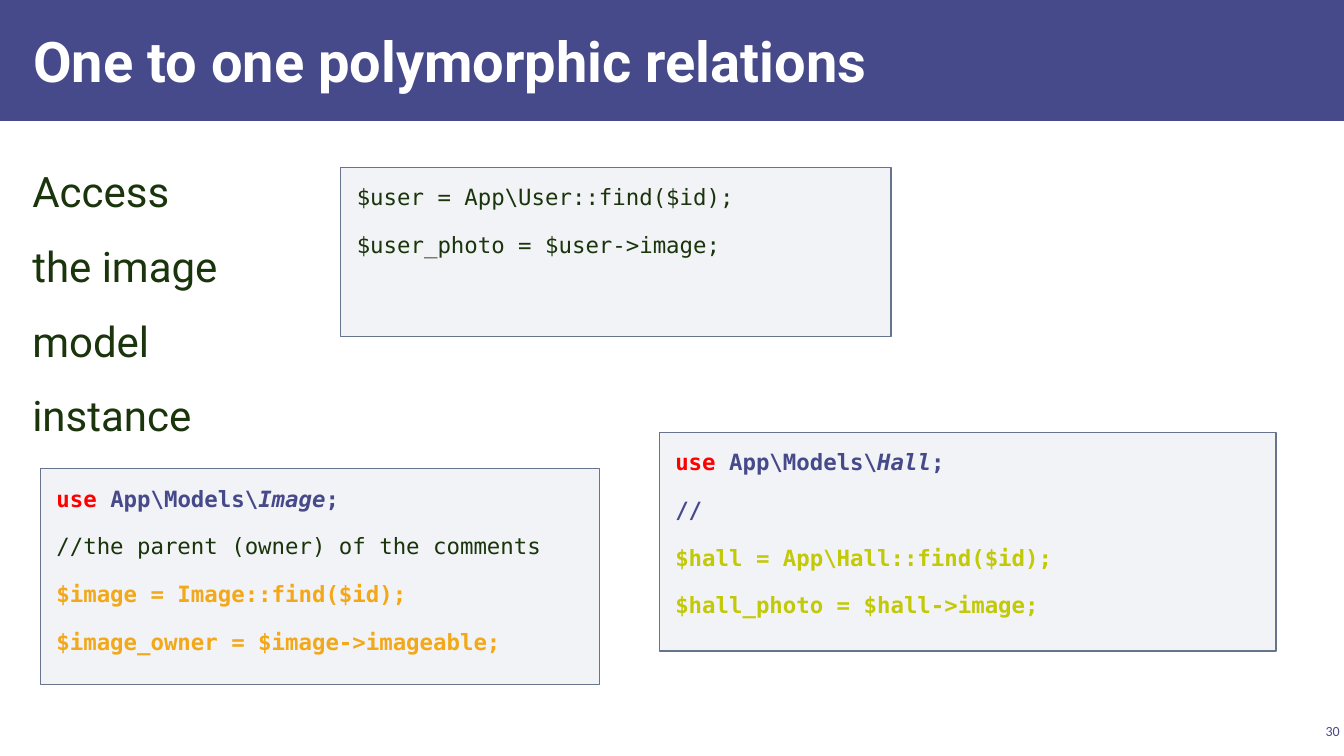
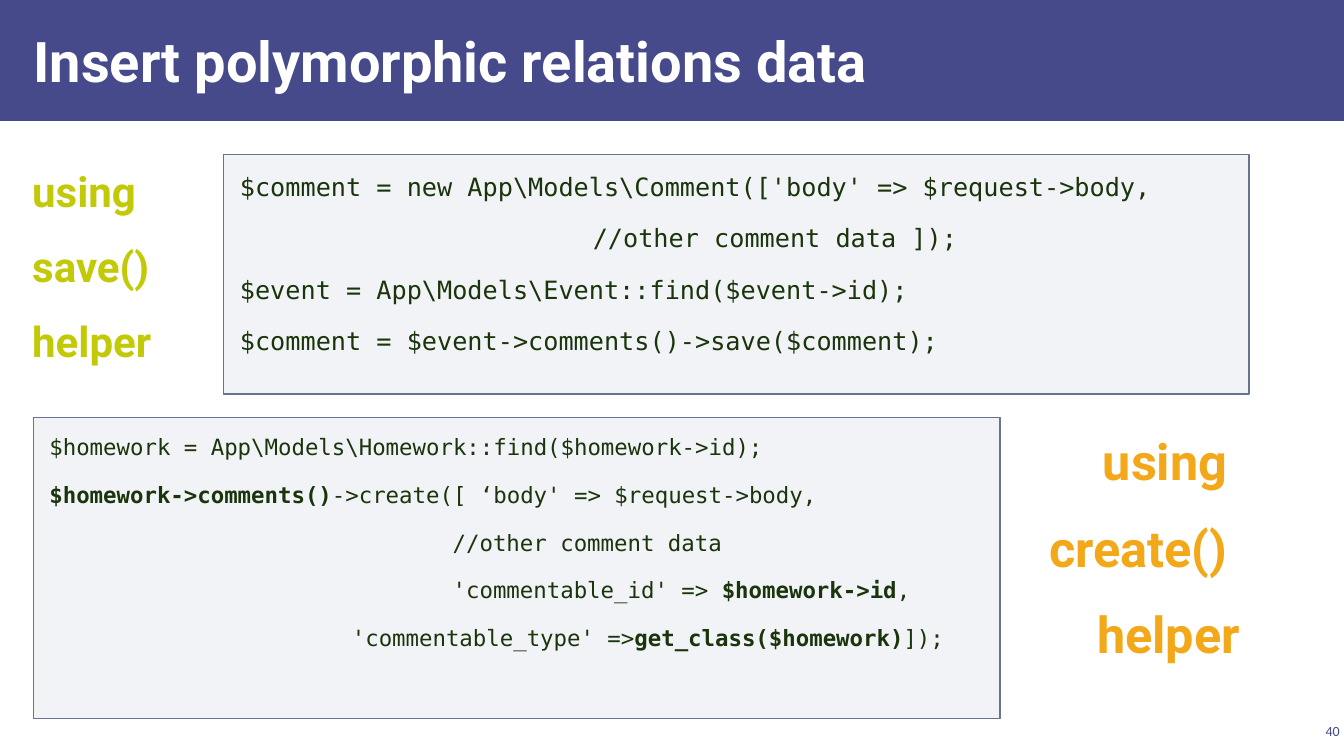
from dataclasses import dataclass

from pptx import Presentation
from pptx import util as u
from pptx.dml.color import RGBColor
from pptx.enum import shapes, text
from pptx.oxml.ns import qn
from lxml import etree

WIDTH, HEIGHT = u.Inches(13.33), u.Inches(7.5)
INDIGO, WHITE, INK = "474A8A", "FFFFFF", "1A340C"
RED, LIME, ORANGE = "FF0000", "C2C906", "F2A818"
PANEL_FILL, PANEL_LINE, PANEL_OPACITY = "ACB4C3", "67748E", 15
HEADING_FONT, CODE_FONT, NUMBER_FONT = "Roboto", "DejaVu Sans Mono", "Calibri"
LEFT, RIGHT = text.PP_ALIGN.LEFT, text.PP_ALIGN.RIGHT
TOP, MIDDLE = text.MSO_ANCHOR.TOP, text.MSO_ANCHOR.MIDDLE


@dataclass(frozen=True)
class Area:
    """A rectangle in percent of the slide's width and height."""
    left: float
    top: float
    width: float
    height: float

    def lengths(self) -> tuple[int, int, int, int]:
        return (int(WIDTH * self.left / 100), int(HEIGHT * self.top / 100),
                int(WIDTH * self.width / 100), int(HEIGHT * self.height / 100))


@dataclass(frozen=True)
class Span:
    words: str
    color: str = INK
    bold: bool = False
    italic: bool = False


@dataclass(frozen=True)
class Line:
    spans: tuple[Span, ...]
    indent: float = 0


@dataclass(frozen=True)
class Style:
    font: str
    size: int
    inset: tuple[float, float]
    align: text.PP_ALIGN = LEFT
    anchor: text.MSO_ANCHOR = TOP
    spaced: bool = True


@dataclass(frozen=True)
class Block:
    area: Area
    style: Style
    lines: list[Line]
    panel: bool = False


@dataclass(frozen=True)
class Page:
    title: str
    number: str
    blocks: list[Block]


BAND = Area(0, 0, 100, 16)
TITLE = Area(1.58, 1.47, 78, 12.93)
NUMBER = Area(96.45, 95.2, 3.53, 2.93)
TITLE_STYLE = Style(HEADING_FONT, 40, (0.12, 0.04), anchor=MIDDLE, spaced=False)
NUMBER_STYLE = Style(NUMBER_FONT, 10, (0.04, 0.04), RIGHT, MIDDLE, spaced=False)
LABEL = Style(HEADING_FONT, 30, (0.12, 0.04))
LARGE_LABEL = Style(HEADING_FONT, 36, (0.12, 0.04), RIGHT)
CODE = Style(CODE_FONT, 16, (0.16, 0.12))
LARGE_CODE = Style(CODE_FONT, 18, (0.16, 0.12))


def line(words: str, color: str = INK, bold: bool = False, indent: float = 0) -> Line:
    return Line((Span(words, color, bold),), indent)


def label(area: Area, style: Style, words: list[str], color: str, bold: bool) -> Block:
    return Block(area, style, [line(word, color, bold) for word in words])


def import_line(model: str) -> Line:
    return Line((Span("use ", RED, True), Span("App\\Models\\", INDIGO, True),
                 Span(model, INDIGO, True, True), Span(";", INDIGO, True)))


PAGES = [
    Page("One to one polymorphic relations", "30", [
        label(Area(1.5, 20.4, 96.9, 73.2), LABEL,
              ["Access", "the image", "model", "instance"], INK, False),
        Block(Area(25.35, 22.13, 40.95, 22.4), CODE, [
            line("$user = App\\User::find($id);"),
            line("$user_photo = $user->image;"),
        ], panel=True),
        Block(Area(49.05, 57.2, 45.9, 28.93), CODE, [
            import_line("Hall"),
            line("//", INDIGO, True),
            line("$hall = App\\Hall::find($id);", LIME, True),
            line("$hall_photo = $hall->image;", LIME, True),
        ], panel=True),
        Block(Area(3, 62, 41.63, 28.53), CODE, [
            import_line("Image"),
            line("//the parent (owner) of the comments"),
            line("$image = Image::find($id);", ORANGE, True),
            line("$image_owner = $image->imageable;", ORANGE, True),
        ], panel=True),
    ]),
    Page("Insert polymorphic relations data", "40", [
        label(Area(1.5, 20.4, 15.08, 31.73), LABEL,
              ["using", "save()", "helper"], LIME, True),
        Block(Area(16.65, 20.4, 76.28, 31.73), LARGE_CODE, [
            line("$comment = new App\\Models\\Comment(['body' => $request->body,"),
            line("//other comment data ]);", indent=3.5),
            line("$event = App\\Models\\Event::find($event->id);"),
            line("$comment = $event->comments()->save($comment);"),
        ], panel=True),
        Block(Area(2.48, 55.2, 71.93, 39.87), CODE, [
            line("$homework = App\\Models\\Homework::find($homework->id);"),
            Line((Span("$homework->comments()", bold=True),
                  Span("->create([ ‘body' => $request->body,"))),
            line("//other comment data", indent=4),
            Line((Span("'commentable_id' => "), Span("$homework->id", bold=True),
                  Span(",")), indent=4),
            Line((Span("'commentable_type' =>"),
                  Span("get_class($homework)", bold=True), Span("]);")), indent=3),
        ], panel=True),
        label(Area(74.48, 55.2, 18.68, 39.87), LARGE_LABEL,
              ["using ", "create() ", "helper"], ORANGE, True),
    ]),
]


def rgb(color: str) -> RGBColor:
    return RGBColor.from_string(color)


def write(box, style: Style, lines: list[Line]) -> None:
    frame = box.text_frame
    frame.word_wrap = True
    frame.auto_size = text.MSO_AUTO_SIZE.NONE
    frame.vertical_anchor = style.anchor
    across, down = (u.Inches(length) for length in style.inset)
    frame.margin_left = frame.margin_right = across
    frame.margin_top = frame.margin_bottom = down
    for index, item in enumerate(lines):
        para = frame.add_paragraph() if index else frame.paragraphs[0]
        para.alignment = style.align
        if style.spaced:
            para.line_spacing = 1.15
            para.space_before = u.Pt(12 if index else 0)
        if item.indent:
            properties = para._p.get_or_add_pPr()
            properties.set("marL", str(u.Inches(item.indent)))
            properties.set("indent", "0")
        for span in item.spans:
            run = para.add_run()
            run.text = span.words
            run.font.name = style.font
            run.font.size = u.Pt(style.size)
            run.font.bold = span.bold
            run.font.italic = span.italic
            run.font.color.rgb = rgb(span.color)


def add_rectangle(slide, area: Area, color: str):
    box = slide.shapes.add_shape(shapes.MSO_SHAPE.RECTANGLE, *area.lengths())
    box.shadow.inherit = False
    box.fill.solid()
    box.fill.fore_color.rgb = rgb(color)
    box.line.fill.background()
    return box


def add_panel(slide, area: Area):
    """Add a translucent, outlined rectangle for code."""
    box = add_rectangle(slide, area, PANEL_FILL)
    tint = box._element.spPr.find(qn("a:solidFill")).find(qn("a:srgbClr"))
    etree.SubElement(tint, qn("a:alpha")).set("val", str(PANEL_OPACITY * 1000))
    box.line.color.rgb = rgb(PANEL_LINE)
    box.line.width = u.Pt(1)
    return box


def add_block(slide, block: Block) -> None:
    if block.panel:
        box = add_panel(slide, block.area)
    else:
        box = slide.shapes.add_textbox(*block.area.lengths())
    write(box, block.style, block.lines)


def add_page(deck, page: Page) -> None:
    slide = deck.slides.add_slide(deck.slide_layouts[5])
    title = slide.shapes.title
    title.left, title.top, title.width, title.height = TITLE.lengths()
    write(title, TITLE_STYLE, [line(page.title, WHITE, True)])
    band = add_rectangle(slide, BAND, INDIGO)
    title._element.addprevious(band._element)
    add_block(slide, Block(NUMBER, NUMBER_STYLE, [line(page.number, INDIGO)]))
    for block in page.blocks:
        add_block(slide, block)


def main() -> None:
    deck = Presentation()
    deck.slide_width, deck.slide_height = WIDTH, HEIGHT
    for page in PAGES:
        add_page(deck, page)
    deck.save("out.pptx")


if __name__ == "__main__":
    main()
